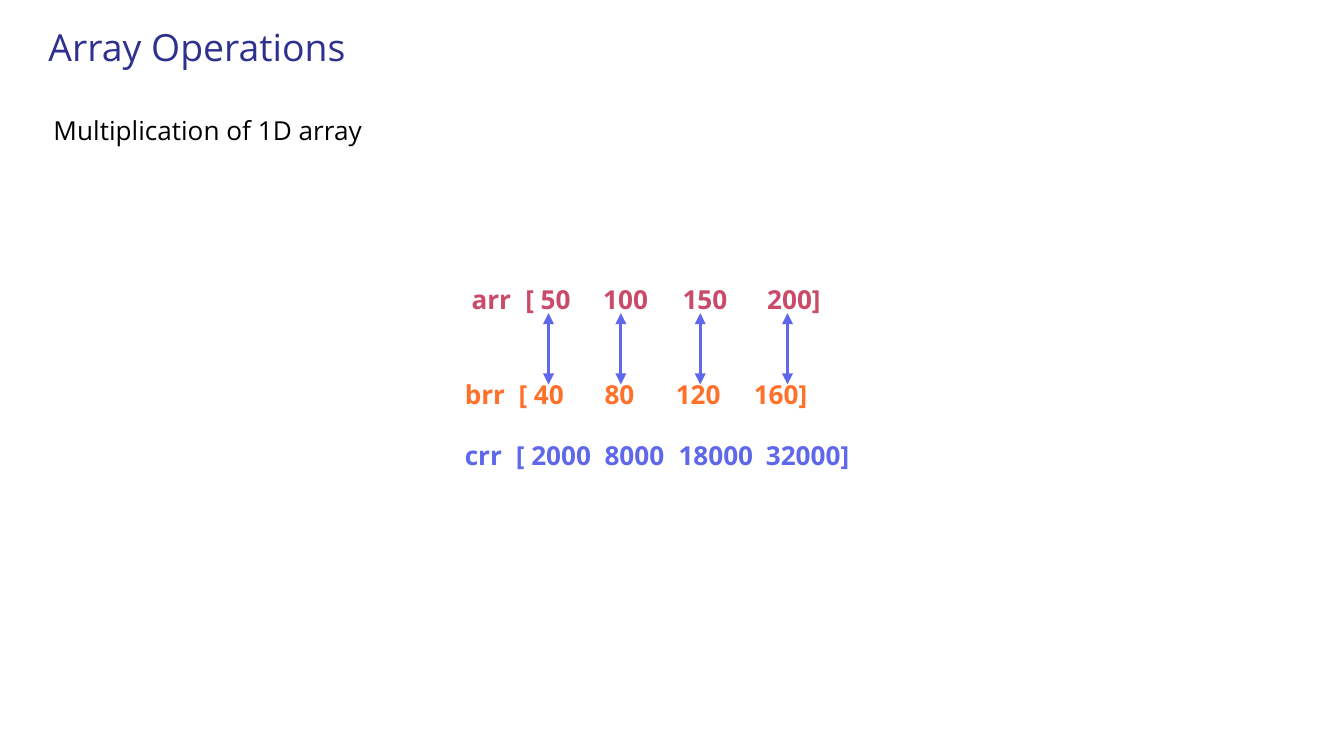
from lxml import etree
from pptx import Presentation
from pptx.dml.color import RGBColor
from pptx.enum.shapes import MSO_CONNECTOR
from pptx.enum.text import MSO_ANCHOR, PP_ALIGN
from pptx.oxml.ns import qn
from pptx.util import Inches, Pt

STRAIGHT = MSO_CONNECTOR.STRAIGHT
TOP = MSO_ANCHOR.TOP
LEFT = PP_ALIGN.LEFT
NAVY = RGBColor(0x2E, 0x31, 0x8E)
BLACK = RGBColor(0x00, 0x00, 0x00)
ROSE = RGBColor(0xCA, 0x4B, 0x69)
ORANGE = RGBColor(0xFF, 0x71, 0x2A)
VIOLET = RGBColor(0x5F, 0x68, 0xEA)
FONT = "Open Sans"
WIDTH = 10
HEIGHT = WIDTH * 9 / 16

ARRAYS = [
    (" arr", ["[ 50", "100", "150", "200]"], ROSE, [0.45, 1.03, 1.62, 2.25], 0),
    ("brr", ["[ 40", "80", "120", "160]"], ORANGE, [0.4, 1.04, 1.57, 2.15], 34),
    ("crr", ["[ 2000", "8000", "18000", "32000]"], VIOLET, [0.38, 1.04, 1.59, 2.24], 16),
]
ARROW_SHARES = [0.22, 0.384, 0.564, 0.762]
ARROW_TOP, ARROW_BOTTOM = 0.183, 0.486


def set_values(target, values):
    for name, value in values.items():
        setattr(target, name, value)


def format_frame(frame, inset):
    sides = ("margin_left", "margin_right", "margin_top", "margin_bottom")
    set_values(frame, {side: Inches(inset) for side in sides})
    set_values(frame, {"word_wrap": True, "vertical_anchor": TOP})


def format_font(font, size, color, bold=False):
    set_values(font, {"name": FONT, "size": Pt(size), "bold": bold})
    font.color.rgb = color


def add_title(page, box):
    title = page.shapes.title
    set_values(title, dict(zip(("left", "top", "width", "height"), map(Inches, box))))
    format_frame(title.text_frame, 0.1)
    para = title.text_frame.paragraphs[0]
    para.text = "Array Operations"
    para.alignment = LEFT
    format_font(para.font, 20, NAVY)


def add_subtitle(page, box):
    frame = page.shapes.add_textbox(*map(Inches, box)).text_frame
    format_frame(frame, 0.05)
    frame.margin_left = frame.margin_right = Inches(0.1)
    para = frame.paragraphs[0]
    para.text = "Multiplication of 1D array"
    format_font(para.font, 14, BLACK)


def add_tab_stops(para, stops):
    tabs = etree.SubElement(para._p.get_or_add_pPr(), qn("a:tabLst"))
    for stop in stops:
        etree.SubElement(tabs, qn("a:tab"), pos=str(Inches(stop)), algn="l")


def add_double_arrow(group, x, top, bottom):
    arrow = group.shapes.add_connector(
        STRAIGHT, Inches(x), Inches(top), Inches(x), Inches(bottom))
    arrow.line.width = Pt(1.5)
    arrow.line.color.rgb = VIOLET
    line = arrow.line._get_or_add_ln()
    for end in ("a:headEnd", "a:tailEnd"):
        etree.SubElement(line, qn(end), type="triangle")
    etree.SubElement(arrow._element.spPr, qn("a:effectLst"))


def add_arrays(page, box):
    left, top, width, height = box
    group = page.shapes.add_group_shape()
    frame = group.shapes.add_textbox(*map(Inches, box)).text_frame
    format_frame(frame, 0.1)
    for index, (name, values, color, stops, gap) in enumerate(ARRAYS):
        para = frame.add_paragraph() if index else frame.paragraphs[0]
        para.text = "\t".join([name, *values])
        para.space_before = Pt(gap)
        add_tab_stops(para, stops)
        format_font(para.font, 14, color, True)
    for share in ARROW_SHARES:
        add_double_arrow(group, left + share * width,
                         top + ARROW_TOP * height, top + ARROW_BOTTOM * height)


def main():
    deck = Presentation()
    set_values(deck, {"slide_width": Inches(WIDTH), "slide_height": Inches(HEIGHT)})
    page = deck.slides.add_slide(deck.slide_layouts.get_by_name("Title Only"))
    add_title(page, (0.26, 0.08, 6.21, 0.51))
    add_arrays(page, (3.36, 2.01, 3.28, 1.75))
    add_subtitle(page, (0.3, 0.8, 4.3, 0.34))
    deck.save("out.pptx")


if __name__ == "__main__":
    main()
